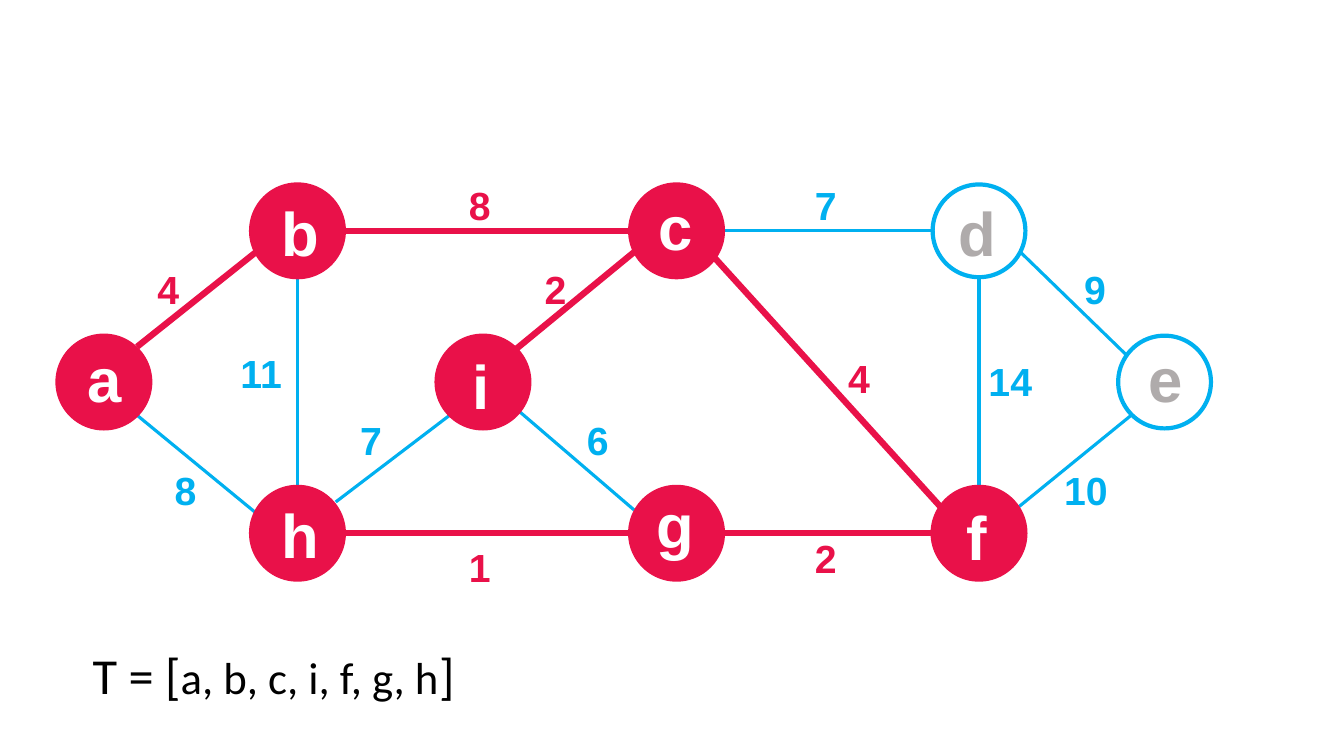
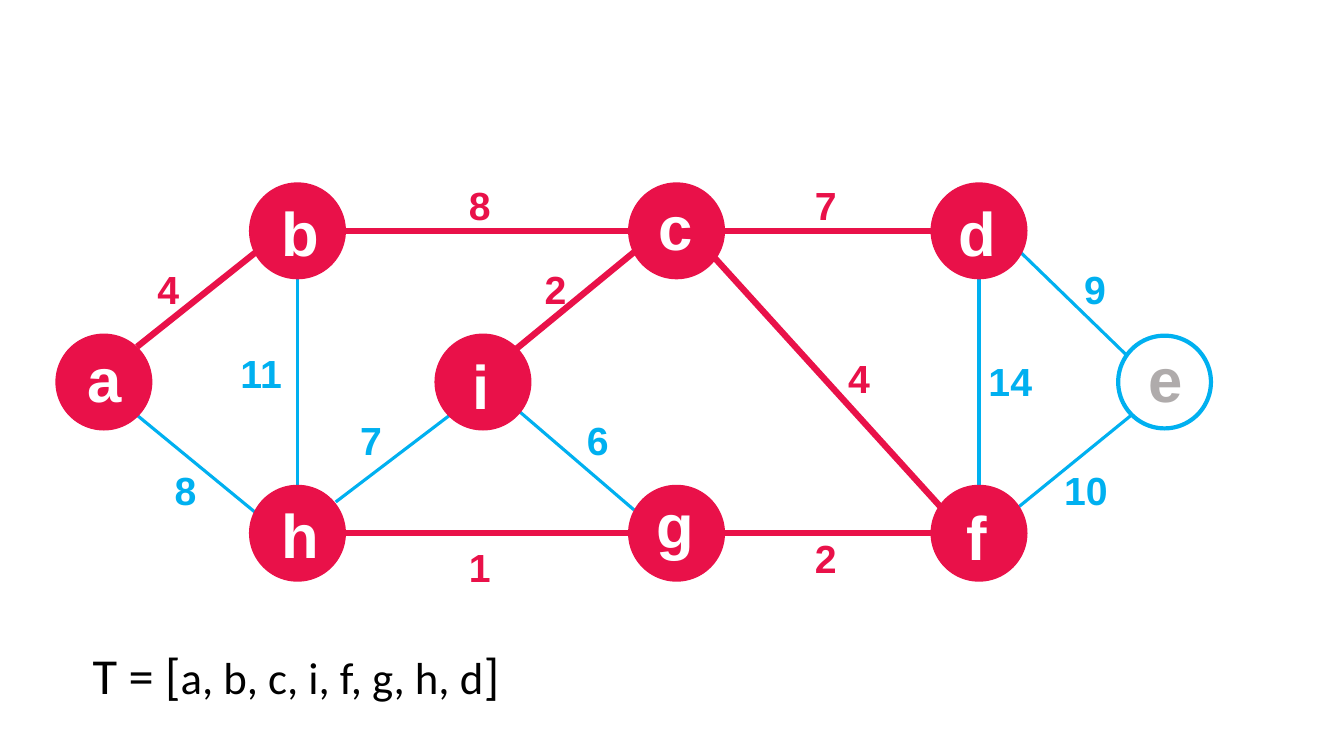
from dataclasses import dataclass

from lxml.etree import SubElement
from pptx import Presentation
from pptx.dml.color import RGBColor
from pptx.enum.shapes import MSO_CONNECTOR, MSO_SHAPE
from pptx.enum.text import MSO_AUTO_SIZE, PP_ALIGN
from pptx.oxml.ns import qn
from pptx.slide import Slide
from pptx.util import Inches, Pt

TREE_COLOR = "E91149"
OPEN_COLOR = "00B0F0"
OPEN_LETTER = "AFABAB"
WHITE = "FFFFFF"
BLACK = "000000"

NODE_SIZE = 0.92
TOP, MIDDLE, BOTTOM = 1.83, 3.33, 4.83
TREE = {"ab", "bc", "ci", "cf", "fg", "gh", "cd"}
VISITED_BY_SLIDE = ["abcifgh", "abcifghd"]

Point = tuple[float, float]


@dataclass(frozen=True)
class Node:
    letter: str
    left: float
    top: float
    letter_shift: Point


@dataclass(frozen=True)
class Edge:
    nodes: str
    start: Point
    end: Point
    weight: int
    label_at: Point


NODES = [
    Node("a", 0.57, MIDDLE, (0.2, 0)),
    Node("b", 2.49, TOP, (0.2, 0.05)),
    Node("c", 6.25, TOP, (0.18, 0)),
    Node("d", 9.25, TOP, (0.16, 0.05)),
    Node("e", 11.09, MIDDLE, (0.2, 0)),
    Node("f", 9.25, BOTTOM, (0.24, 0.07)),
    Node("g", 6.25, BOTTOM, (0.16, -0.05)),
    Node("h", 2.49, BOTTOM, (0.2, 0.05)),
    Node("i", 4.33, MIDDLE, (0.26, 0.07)),
]

EDGES = [
    Edge("ab", (1.36, 3.44), (2.54, 2.5), 4, (1.32, 2.58)),
    Edge("ah", (1.36, 4.12), (2.54, 5.09), 8, (1.49, 4.58)),
    Edge("bh", (2.95, 2.75), (2.95, 4.83), 11, (2.24, 3.42)),
    Edge("bc", (3.41, 2.29), (6.25, 2.29), 8, (4.41, 1.75)),
    Edge("gh", (6.25, 5.29), (3.41, 5.29), 1, (4.41, 5.34)),
    Edge("hi", (3.33, 4.98), (4.46, 4.12), 7, (3.33, 4.08)),
    Edge("gi", (6.29, 5.06), (5.16, 4.09), 6, (5.58, 4.08)),
    Edge("ci", (6.29, 2.5), (5.11, 3.47), 2, (5.16, 2.58)),
    Edge("cf", (7.09, 2.56), (9.33, 5.03), 4, (8.17, 3.47)),
    Edge("df", (9.71, 2.75), (9.71, 4.83), 14, (9.67, 3.5)),
    Edge("cd", (7.17, 2.29), (9.25, 2.29), 7, (7.84, 1.75)),
    Edge("fg", (9.25, 5.29), (7.17, 5.29), 2, (7.84, 5.25)),
    Edge("de", (10.12, 2.5), (11.17, 3.52), 9, (10.51, 2.58)),
    Edge("ef", (11.22, 4.12), (10.09, 5.04), 10, (10.42, 4.58)),
]


def rgb(color: str) -> RGBColor:
    return RGBColor.from_string(color)


def add_text(page: Slide, spans: list[tuple[str, int]], at: Point, size: Point, *,
             color: str, font: str = "Arial", bold: bool = True,
             align: PP_ALIGN = PP_ALIGN.LEFT) -> None:
    box = page.shapes.add_textbox(*map(Inches, at + size))
    frame = box.text_frame
    frame.word_wrap = True
    frame.auto_size = MSO_AUTO_SIZE.SHAPE_TO_FIT_TEXT
    para = frame.paragraphs[0]
    para.alignment = align
    for text, points in spans:
        span = para.add_run()
        span.text = text
        span.font.name = font
        span.font.size = Pt(points)
        span.font.bold = bold
        span.font.color.rgb = rgb(color)


def draw_edge(page: Slide, edge: Edge, visited: str) -> None:
    in_tree = edge.nodes in TREE and set(edge.nodes) <= set(visited)
    color = TREE_COLOR if in_tree else OPEN_COLOR
    line = page.shapes.add_connector(
        MSO_CONNECTOR.STRAIGHT, *map(Inches, edge.start + edge.end))
    line.line.color.rgb = rgb(color)
    line.line.width = Pt(4.5 if in_tree else 2.25)
    SubElement(line._element.spPr, qn("a:effectLst"))
    add_text(page, [(str(edge.weight), 28)], edge.label_at, (0.7, 0.57),
             color=color, align=PP_ALIGN.CENTER)


def draw_node(page: Slide, node: Node, visited: str) -> None:
    reached = node.letter in visited
    circle = page.shapes.add_shape(
        MSO_SHAPE.OVAL, *map(Inches, (node.left, node.top, NODE_SIZE, NODE_SIZE)))
    circle.shadow.inherit = False
    circle.line.width = Pt(3)
    circle.line.color.rgb = rgb(TREE_COLOR if reached else OPEN_COLOR)
    if reached:
        circle.fill.solid()
        circle.fill.fore_color.rgb = rgb(TREE_COLOR)
    else:
        circle.fill.background()
    shift_x, shift_y = node.letter_shift
    add_text(page, [(node.letter, 44)], (node.left + shift_x, node.top + shift_y),
             (0.5, 0.83), color=WHITE if reached else OPEN_LETTER)


def draw_page(page: Slide, visited: str) -> None:
    for edge in EDGES:
        draw_edge(page, edge, visited)
    for node in NODES:
        draw_node(page, node, visited)
    add_text(page, [("T = [", 36), (", ".join(visited), 32), ("]", 36)],
             (0.82, 6.34), (5.35, 0.73), color=BLACK, font="Calibri", bold=False)


def main() -> None:
    deck = Presentation()
    deck.slide_width = Inches(13.33)
    deck.slide_height = Inches(7.5)
    for visited in VISITED_BY_SLIDE:
        draw_page(deck.slides.add_slide(deck.slide_layouts[6]), visited)
    deck.save("out.pptx")


if __name__ == "__main__":
    main()
